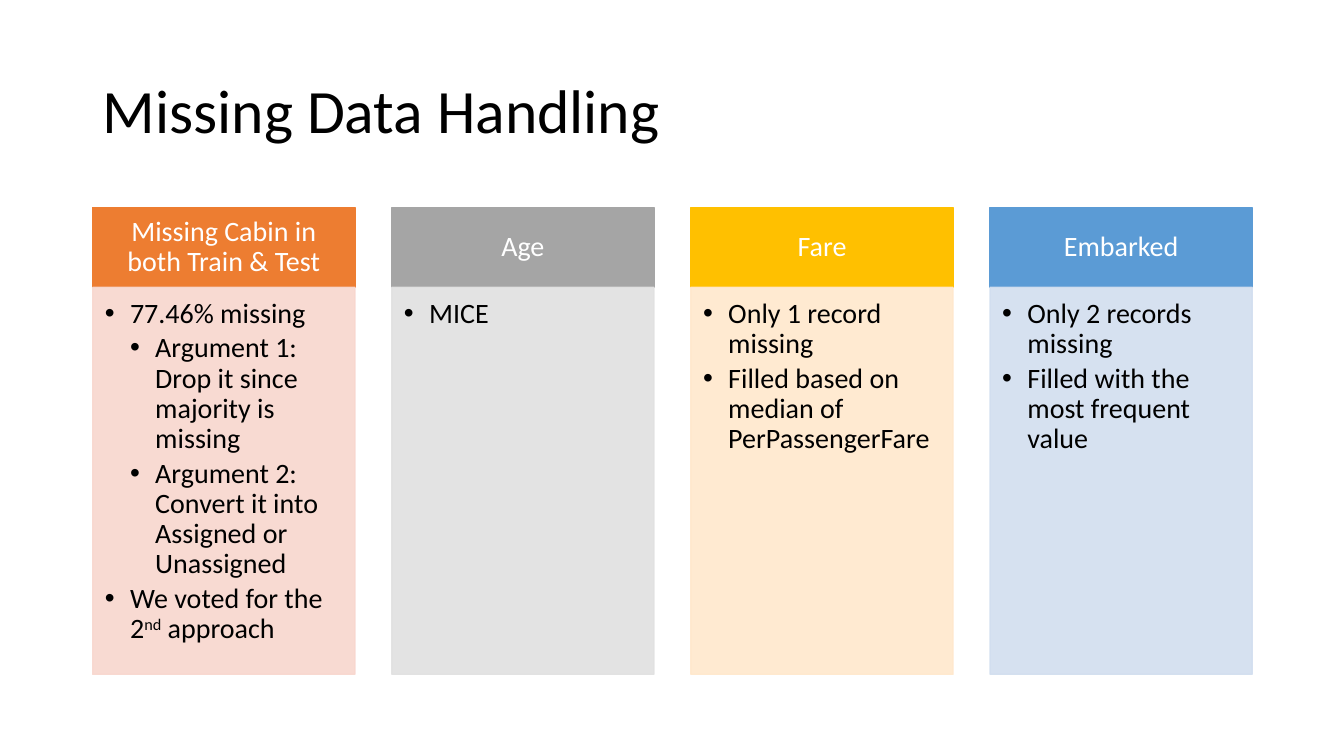
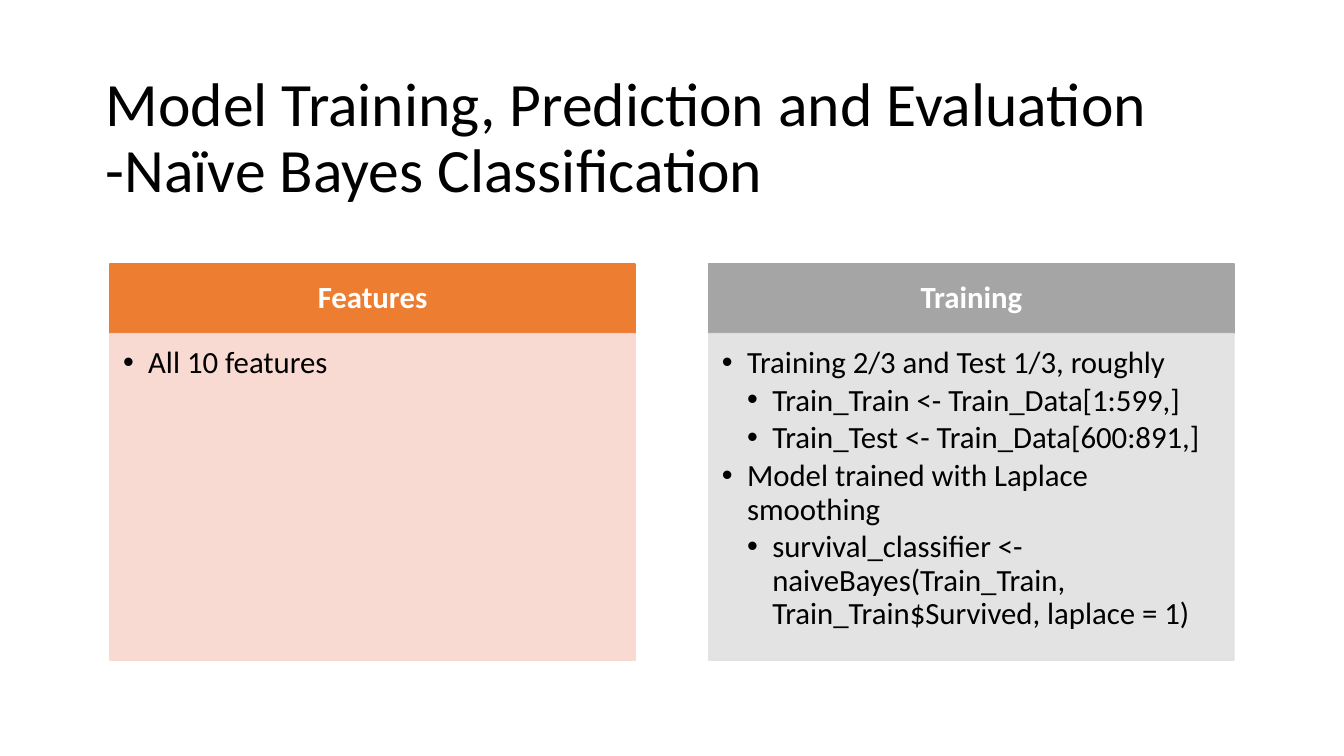
from lxml.etree import SubElement
from pptx import Presentation
from pptx.dml.color import RGBColor
from pptx.enum.shapes import MSO_SHAPE
from pptx.enum.text import MSO_ANCHOR, PP_ALIGN
from pptx.oxml.ns import qn
from pptx.util import Inches, Pt

FONT = "Calibri"
BLACK, WHITE = "000000", "FFFFFF"
ORANGE = ("ED7D31", "F8D7CE")
GRAY = ("A5A5A5", "E1E1E1")
GOLD = ("FFC000", "FFE8CC")
BLUE = ("5B9BD5", "D2DEEF")

MISSING_DATA = [
    (ORANGE, "Missing Cabin in both Train & Test", [
        (1, "77.46% missing"),
        (2, "Argument 1: Drop it since majority is missing"),
        (2, "Argument 2: Convert it into Assigned or Unassigned"),
        (1, "We voted for the 2", "nd", " approach"),
    ]),
    (GRAY, "Age", [(1, "MICE")]),
    (GOLD, "Fare", [
        (1, "Only 1 record missing"),
        (1, "Filled based on median of PerPassengerFare"),
    ]),
    (BLUE, "Embarked", [
        (1, "Only 2 records missing"),
        (1, "Filled with the most frequent value"),
    ]),
]
NAIVE_BAYES = [
    (ORANGE, "Features", [(1, "All 10 features")]),
    (GRAY, "Training", [
        (1, "Training 2/3 and Test 1/3, roughly"),
        (2, "Train_Train <- Train_Data[1:599,]"),
        (2, "Train_Test <- Train_Data[600:891,]"),
        (1, "Model trained with Laplace smoothing"),
        (2, "survival_classifier <- naiveBayes(Train_Train, "
            "Train_Train$Survived, laplace = 1)"),
    ]),
]


def color(value):
    """Turn a hex string into a colour."""
    return RGBColor.from_string(value)


class Deck:
    """Hold the shared style and the current slide."""

    def __init__(self):
        """Start an empty widescreen deck."""
        self.deck = Presentation()
        self.deck.slide_width = Inches(13.33)
        self.deck.slide_height = Inches(7.5)

    def add_page(self):
        """Start a new blank slide."""
        self.page = self.deck.slides.add_slide(self.deck.slide_layouts[6])

    def style(self, paragraph, size, text_color, bold=False):
        """Format a paragraph and its runs."""
        paragraph.line_spacing = 0.9
        for span in paragraph.runs:
            span.font.name = FONT
            span.font.size = Pt(size)
            span.font.bold = bold
            span.font.color.rgb = color(text_color)

    def set_frame(self, frame, anchor, margins=(0.1, 0.05, 0.1, 0.05)):
        """Set wrapping, anchor and insets of a text frame."""
        frame.word_wrap = True
        frame.vertical_anchor = anchor
        (frame.margin_left, frame.margin_top,
         frame.margin_right, frame.margin_bottom) = map(Inches, margins)

    def title(self, text, left, top, width):
        """Add the slide title."""
        box = self.page.shapes.add_textbox(
            Inches(left), Inches(top), Inches(width), Inches(1.45))
        self.set_frame(box.text_frame, MSO_ANCHOR.MIDDLE)
        paragraph = box.text_frame.paragraphs[0]
        paragraph.text = text
        self.style(paragraph, 44, BLACK)

    def panel(self, left, top, width, height, fill, opacity=100):
        """Add a filled and outlined rectangle."""
        box = self.page.shapes.add_shape(
            MSO_SHAPE.RECTANGLE, Inches(left), Inches(top), Inches(width), Inches(height))
        box.shadow.inherit = False
        box.line.width = Pt(1)
        for paint in (box.fill, box.line.fill):
            paint.solid()
            paint.fore_color.rgb = color(fill)
        if opacity < 100:
            for value in box._element.spPr.iter(qn("a:srgbClr")):
                SubElement(value, qn("a:alpha"), val=str(opacity * 1000))
        return box

    def header(self, area, fill, text, size, bold, margins):
        """Add the heading panel of a column."""
        frame = self.panel(*area, fill).text_frame
        self.set_frame(frame, MSO_ANCHOR.MIDDLE, margins)
        frame.text = text
        paragraph = frame.paragraphs[0]
        paragraph.alignment = PP_ALIGN.CENTER
        self.style(paragraph, size, WHITE, bold)

    def bullet(self, paragraph, level, parts, size):
        """Fill a bulleted paragraph, raising every second part."""
        paragraph.alignment = PP_ALIGN.LEFT
        paragraph.level = level - 1
        paragraph.space_after = Pt(round(0.15 * size, 1))
        properties = paragraph._p.get_or_add_pPr()
        properties.set("marL", str(Inches(0.25 * level)))
        properties.set("indent", str(Inches(-0.25)))
        SubElement(properties, qn("a:buFont"), typeface="Arial")
        SubElement(properties, qn("a:buChar"), char="•")
        for index, part in enumerate(parts):
            span = paragraph.add_run()
            span.text = part
            if index % 2:
                span._r.get_or_add_rPr().set("baseline", "30000")
        self.style(paragraph, size, BLACK)

    def body(self, area, fill, items, size, margins):
        """Add the bulleted panel of a column."""
        frame = self.panel(*area, fill, 90).text_frame
        self.set_frame(frame, MSO_ANCHOR.TOP, margins)
        for index, (level, *parts) in enumerate(items):
            paragraph = frame.add_paragraph() if index else frame.paragraphs[0]
            self.bullet(paragraph, level, parts, size)

    def columns(self, content, left, top, span, width, heights, size,
                header_margins, body_margins, bold=False):
        """Spread headed columns evenly over a span."""
        pitch = (span - width) / (len(content) - 1)
        header_height, body_height = heights
        for index, ((dark, light), heading, items) in enumerate(content):
            x = left + index * pitch
            self.header((x, top, width, header_height), dark, heading, size, bold,
                        header_margins)
            self.body((x, top + header_height, width, body_height), light, items, size,
                      body_margins)


def main():
    """Build and save the deck."""
    deck = Deck()
    deck.add_page()
    deck.title("Missing Data Handling", 0.92, 0.4, 11.5)
    deck.columns(MISSING_DATA, 0.92, 2.06, 11.5, 2.6, (0.79, 3.84), 20,
                 (0.16, 0.09, 0.16, 0.09), (0.12, 0.12, 0.16, 0.17))
    deck.add_page()
    deck.title("Model Training, Prediction and Evaluation\v-Naïve Bayes Classification",
               0.95, 0.66, 11.43)
    deck.columns(NAIVE_BAYES, 1.09, 2.62, 11.15, 5.21, (0.69, 3.24), 22,
                 (0.17, 0.1, 0.17, 0.1), (0.13, 0.13, 0.17, 0.19), bold=True)
    deck.deck.save("out.pptx")


if __name__ == "__main__":
    main()
